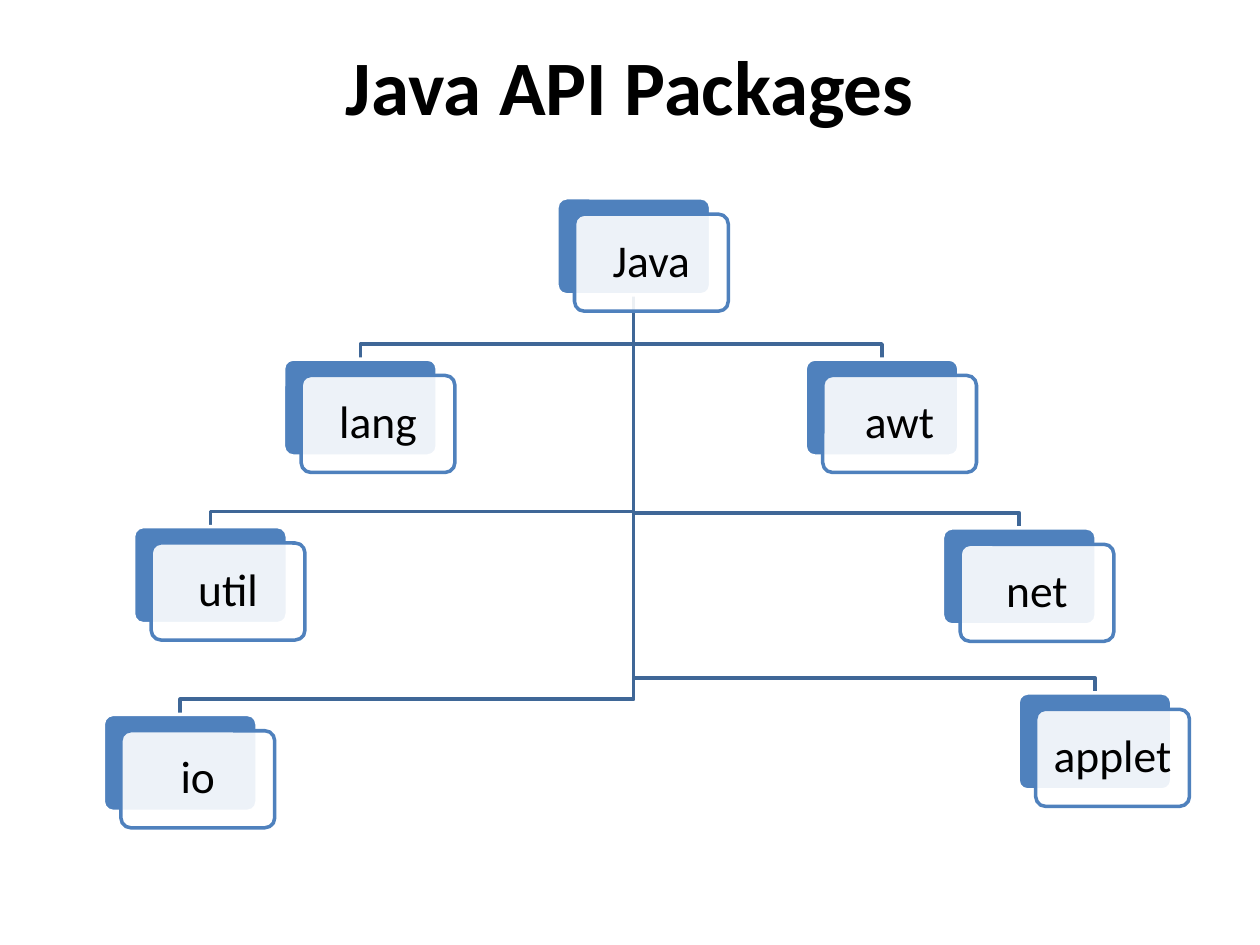
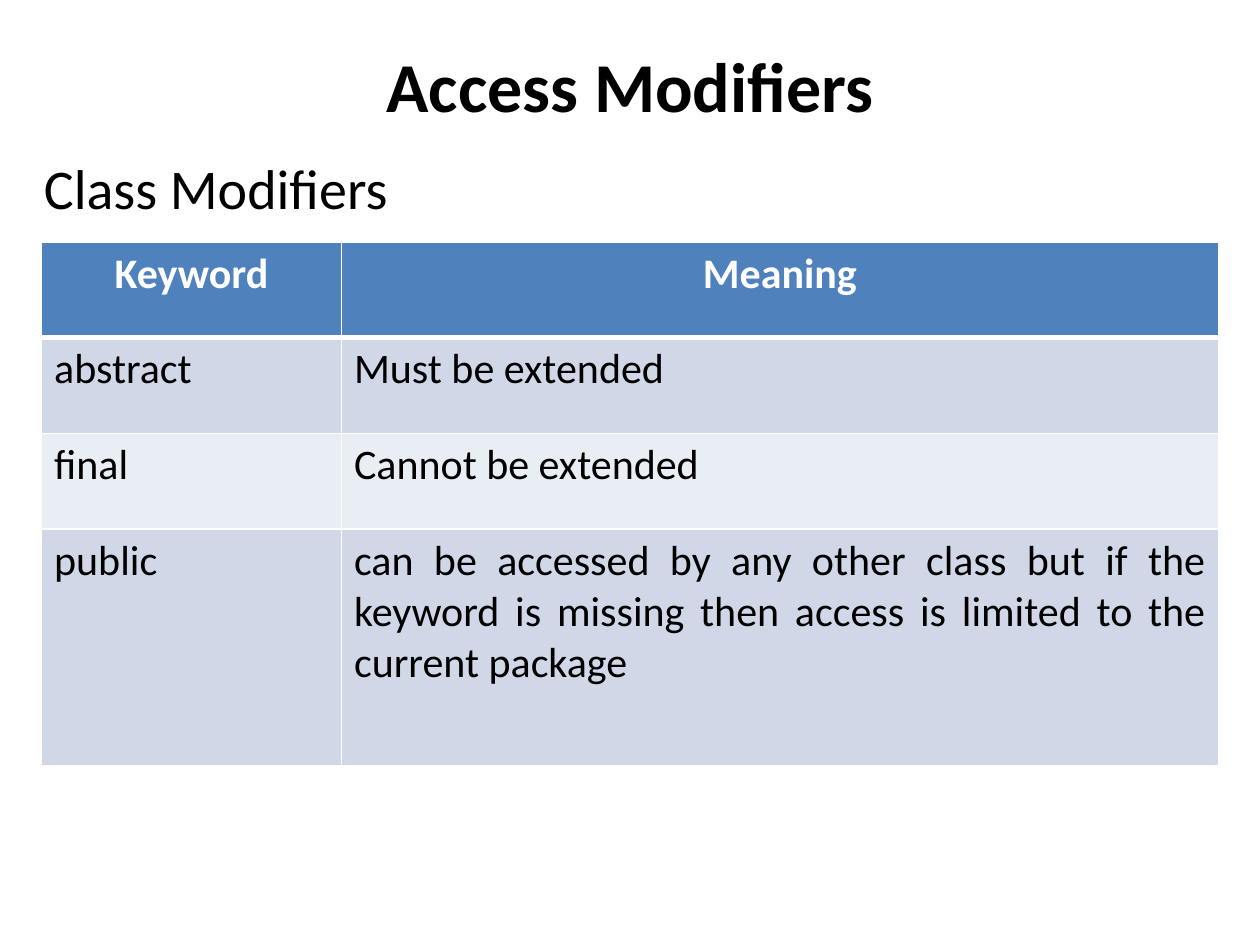
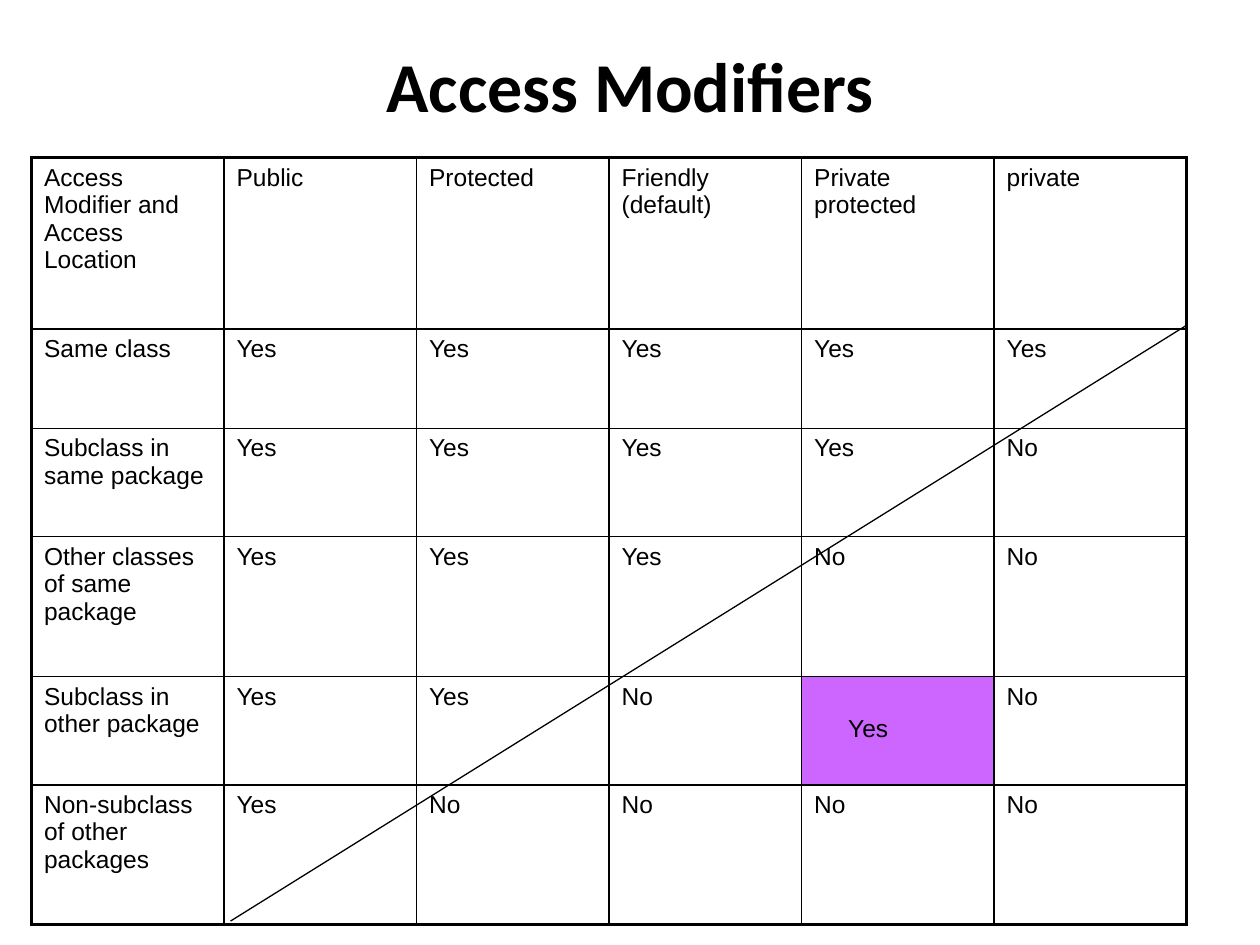
from lxml import etree
from pptx import Presentation
from pptx import util as u
from pptx.dml.color import RGBColor
from pptx.enum import shapes, text
from pptx.oxml.ns import qn

HUES = {"ink": "000000", "paper": "FFFFFF", "blue": "4F81BD", "wire": "3F6797",
        "band": "D0D8E8", "pale": "E9EDF4", "mark": "CC66FF"}
ALIGN = text.PP_ALIGN
INCH = u.Inches


def hue(name):
    return RGBColor.from_string(HUES[name])


def write(frame, words, size, align=ALIGN.LEFT, color="ink", bold=False, face="Calibri"):
    frame.text = words
    para = frame.paragraphs[0]
    para.alignment = align
    font = para.runs[0].font
    look = {"name": face, "size": u.Pt(size), "bold": bold}
    for key, value in look.items():
        setattr(font, key, value)
    font.color.rgb = hue(color)
    return para


def stroke(line, color, width):
    line.color.rgb = hue(color)
    line.width = u.Pt(width)


def start(deck, words, size):
    """Add a title-only slide and format its title."""
    slide = deck.slides.add_slide(deck.slide_layouts[5])
    title = slide.shapes.title
    place = {"left": 0, "top": 0.17, "width": 10, "height": 1}
    for key, value in place.items():
        setattr(title, key, INCH(value))
    title.text_frame.vertical_anchor = text.MSO_ANCHOR.MIDDLE
    write(title.text_frame, words, size, ALIGN.CENTER, bold=True)
    return slide


# Package tree

CARD = (1.22, 0.77)
SHIFT = (0.14, 0.13)


def branch(slide, root, leaf):
    """Draw a stepped line from the foot of one card to the head of another."""
    mid = CARD[0] / 2
    x, y = root[0] + mid, root[1] + CARD[1]
    end, head = leaf[0] + mid, leaf[1]
    bend = head - 0.12
    pen = slide.shapes.build_freeform(INCH(x), INCH(y))
    stops = [(x, bend), (end, bend), (end, head)]
    pen.add_line_segments([(INCH(a), INCH(b)) for a, b in stops], close=False)
    wire = pen.convert_to_shape()
    wire.shadow.inherit = False
    wire.fill.background()
    stroke(wire.line, "wire", 2)


def plate(slide, left, top, fill, edge):
    box = slide.shapes.add_shape(shapes.MSO_SHAPE.ROUNDED_RECTANGLE,
                                 *map(INCH, (left, top, *CARD)))
    box.adjustments[0] = 0.1
    box.shadow.inherit = False
    box.fill.solid()
    box.fill.fore_color.rgb = hue(fill)
    stroke(box.line, edge, 2)
    return box


def card(slide, left, top, name):
    plate(slide, left, top, "blue", "paper")
    front = plate(slide, left + SHIFT[0], top + SHIFT[1], "paper", "blue")
    tone = front.fill._xPr.find(qn("a:solidFill"))[0]
    etree.SubElement(tone, qn("a:alpha"), val="90000")
    frame = front.text_frame
    for side in ("left", "top", "right", "bottom"):
        setattr(frame, "margin_" + side, INCH(0.11))
    frame.vertical_anchor = text.MSO_ANCHOR.MIDDLE
    write(frame, name, 26, ALIGN.CENTER).line_spacing = 0.9


def tree(slide, root, leaves):
    for left, top, name in leaves:
        branch(slide, root, (left, top))
    for node in [root, *leaves]:
        card(slide, *node)


# Tables

def rim(cell, sides, color):
    """Set the cell's borders: sides maps L, R, T, B to points."""
    props = cell._tc.get_or_add_tcPr()
    for side, width in sides.items():
        line = etree.SubElement(props, qn("a:ln" + side), w=str(u.Pt(width)))
        fill = etree.SubElement(line, qn("a:solidFill"))
        etree.SubElement(fill, qn("a:srgbClr"), val=HUES[color])


def grid(slide, left, top, cols, rows, data, color, across, down, style):
    """Add a table; across and down hold the widths of its rules in order."""
    box = map(INCH, (left, top, sum(cols), sum(rows)))
    table = slide.shapes.add_table(len(rows), len(cols), *box).table
    table.first_row = table.horz_banding = False
    for col, width in zip(table.columns, cols):
        col.width = INCH(width)
    for r, (row, height) in enumerate(zip(table.rows, rows)):
        row.height = INCH(height)
        for c, cell in enumerate(row.cells):
            rim(cell, {"L": down[c], "R": down[c + 1],
                       "T": across[r], "B": across[r + 1]}, color)
            fill, look = style(r, c)
            if fill:
                cell.fill.solid()
                cell.fill.fore_color.rgb = hue(fill)
            else:
                cell.fill.background()
            write(cell.text_frame, data[r][c], **look)
    return table


def words_style(r, c):
    if r == 0:
        return "blue", {"size": 24, "align": ALIGN.CENTER, "color": "paper", "bold": True}
    align = ALIGN.JUSTIFY if (r, c) == (3, 1) else ALIGN.LEFT
    return ("band" if r % 2 else "pale"), {"size": 24, "align": align}


ODD = (4, 4)  # the one cell that breaks the diagonal rule


def access_style(r, c):
    return ("mark" if (r, c) == ODD else None), {"size": 14, "face": "Arial"}


def access_data():
    heads = ["Access Modifier and Access Location", "Public", "Protected",
             "Friendly (default)", "Private protected", "private"]
    places = ["Same class", "Subclass in same package", "Other classes of same package",
              "Subclass in other package", "Non-subclass of other packages"]
    data = [heads]
    for r, place in enumerate(places, 1):
        data.append([place] + ["Yes" if c + r <= 6 or (r, c) == ODD else "No"
                               for c in range(1, 6)])
    return data


# Slides

def packages(deck):
    slide = start(deck, "Java API Packages", 44)
    tree(slide, (4.42, 1.57, "Java"),
         [(8.08, 5.5, "applet"), (7.48, 4.19, "net"), (6.39, 2.85, "awt"),
          (0.82, 5.67, "io"), (1.06, 4.18, "util"), (2.25, 2.85, "lang")])


def classes(deck):
    slide = start(deck, "Access Modifiers", 40)
    data = [("Keyword", "Meaning"),
            ("abstract", "Must be extended"),
            ("final", "Cannot be extended"),
            ("public", "can be accessed by any other class but if the keyword is "
                       "missing then access is limited to the current package")]
    grid(slide, 0.33, 1.92, [2.38, 6.96], [0.76] * 3 + [1.88], data,
         "paper", [1, 3, 1, 1, 1], [1] * 3, words_style)
    label = slide.shapes.add_textbox(*map(INCH, (0.25, 1.17, 9.58, 0.64)))
    label.text_frame.word_wrap = True
    write(label.text_frame, "Class Modifiers", 32, ALIGN.JUSTIFY)


def access(deck):
    slide = start(deck, "Access Modifiers", 40)
    rules = [2.25] + [1] * 5 + [2.25]
    table = grid(slide, 0.25, 1.25, [9.17 / 6] * 6, [1.36, 0.79, 0.86, 1.11, 0.86, 1.11],
                 access_data(), "ink", rules, rules, access_style)
    cell = table.cell(*ODD)
    cell.margin_left, cell.margin_top = INCH(0.37), INCH(0.31)
    line = slide.shapes.add_connector(shapes.MSO_CONNECTOR.STRAIGHT,
                                      *map(INCH, (1.83, 7.31, 9.42, 2.58)))
    stroke(line.line, "ink", 0.75)
    etree.SubElement(line._element.spPr, qn("a:effectLst"))


def main():
    deck = Presentation()
    deck.slide_width, deck.slide_height = INCH(10), INCH(7.5)
    for build in (packages, classes, access):
        build(deck)
    deck.save("out.pptx")


if __name__ == "__main__":
    main()
